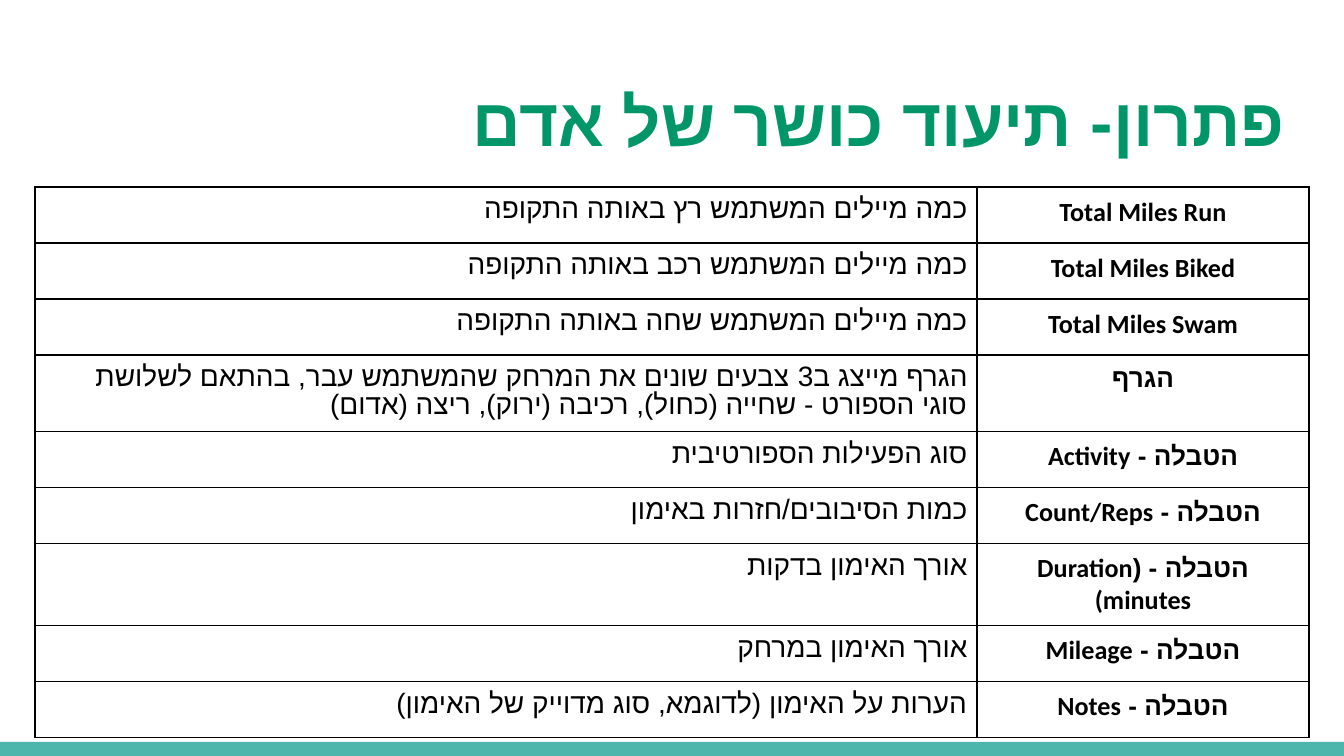
from lxml.etree import SubElement
from pptx import Presentation
from pptx.dml.color import RGBColor
from pptx.enum.shapes import MSO_SHAPE
from pptx.enum.text import MSO_ANCHOR, MSO_AUTO_SIZE, PP_ALIGN
from pptx.oxml.ns import qn
from pptx.util import Inches, Pt

TITLE = "פתרון- תיעוד כושר של אדם"
ROWS = [
    ("כמה מיילים המשתמש רץ באותה התקופה", "Total Miles Run"),
    ("כמה מיילים המשתמש רכב באותה התקופה", "Total Miles Biked"),
    ("כמה מיילים המשתמש שחה באותה התקופה", "Total Miles Swam"),
    ("הגרף מייצג ב3 צבעים שונים את המרחק שהמשתמש עבר, בהתאם לשלושת סוגי "
     "הספורט - שחייה (כחול), רכיבה (ירוק), ריצה (אדום)", "הגרף"),
    ("סוג הפעילות הספורטיבית", "הטבלה - Activity"),
    ("כמות הסיבובים/חזרות באימון", "הטבלה - Count/Reps"),
    ("אורך האימון בדקות", "הטבלה - (Duration (minutes"),
    ("אורך האימון במרחק", "הטבלה - Mileage"),
    ("הערות על האימון (לדוגמא, סוג מדוייק של האימון)", "הטבלה - Notes"),
]
COLUMNS = [
    {"width": 7.01, "size": 15, "bold": False, "align": PP_ALIGN.RIGHT,
     "spacing": 0.9},
    {"width": 2.47, "size": 14, "bold": True, "align": PP_ALIGN.CENTER,
     "spacing": 1.0},
]
ROW_HEIGHT, TALL_ROW_HEIGHT, TALL_ROW = 5 / 12, 0.57, 3
COLORS = {"title": "009668", "text": "000000", "border": "000000",
          "bar": "4DB6AC"}
FONT, HEBREW_FONT = "Calibri", "Arial"


def color(name):
    """Return the named palette colour."""
    return RGBColor.from_string(COLORS[name])


def write(tf, text, size, bold, align, spacing, color_name):
    """Write one right-to-left paragraph into a text frame."""
    p = tf.paragraphs[0]
    p.alignment = align
    p.line_spacing = spacing
    p._p.get_or_add_pPr().set("rtl", "1")
    r = p.add_run()
    r.text = text
    r.font.name, r.font.size, r.font.bold = FONT, Pt(size), bold
    r.font.color.rgb = color(color_name)
    SubElement(r._r.get_or_add_rPr(), qn("a:cs"), typeface=HEBREW_FONT)


def set_borders(cell):
    """Draw a thin line on all four sides of a cell."""
    tcPr = cell._tc.get_or_add_tcPr()
    for i, side in enumerate(("lnL", "lnR", "lnT", "lnB")):
        ln = tcPr.makeelement(qn(f"a:{side}"), {"w": str(Pt(1))})
        fill = SubElement(ln, qn("a:solidFill"))
        SubElement(fill, qn("a:srgbClr"), val=COLORS["border"])
        tcPr.insert(i, ln)


def add_bar(slide):
    """Add the coloured bar along the bottom edge."""
    sp = slide.shapes.add_shape(MSO_SHAPE.RECTANGLE, 0, Inches(5.52),
                                Inches(10), Inches(0.11))
    sp.shadow.inherit = False
    sp.fill.solid()
    sp.fill.fore_color.rgb = color("bar")
    sp.line.fill.background()


def add_title(slide):
    """Place and format the title."""
    sp = slide.shapes.title
    sp.left, sp.top = Inches(0.34), Inches(0.49)
    sp.width, sp.height = Inches(9.32), Inches(0.77)
    tf = sp.text_frame
    tf.margin_left = tf.margin_right = Inches(0.1)
    tf.margin_top = tf.margin_bottom = Inches(0.1)
    tf.vertical_anchor = MSO_ANCHOR.TOP
    tf.auto_size = MSO_AUTO_SIZE.NONE
    write(tf, TITLE, 36, True, PP_ALIGN.RIGHT, 1.0, "title")


def add_field_table(slide):
    """Add the table of fields and their explanations."""
    heights = [TALL_ROW_HEIGHT if i == TALL_ROW else ROW_HEIGHT
               for i in range(len(ROWS))]
    width = sum(c["width"] for c in COLUMNS)
    table = slide.shapes.add_table(
        len(ROWS), len(COLUMNS), Inches(0.26), Inches(1.39),
        Inches(width), Inches(sum(heights))).table
    table.first_row = table.horz_banding = False
    for column, style in zip(table.columns, COLUMNS):
        column.width = Inches(style["width"])
    for i, (texts, height) in enumerate(zip(ROWS, heights)):
        table.rows[i].height = Inches(height)
        for j, (text, style) in enumerate(zip(texts, COLUMNS)):
            cell = table.cell(i, j)
            cell.margin_left = cell.margin_right = Inches(0.07)
            cell.margin_top = cell.margin_bottom = Inches(0.07)
            cell.fill.background()
            set_borders(cell)
            write(cell.text_frame, text, style["size"], style["bold"],
                  style["align"], style["spacing"], "text")


def main():
    """Build and save the slide."""
    prs = Presentation()
    prs.slide_width, prs.slide_height = Inches(10), Inches(10 * 9 / 16)
    slide = prs.slides.add_slide(prs.slide_layouts[5])
    add_bar(slide)
    add_title(slide)
    add_field_table(slide)
    prs.save("out.pptx")


if __name__ == "__main__":
    main()
